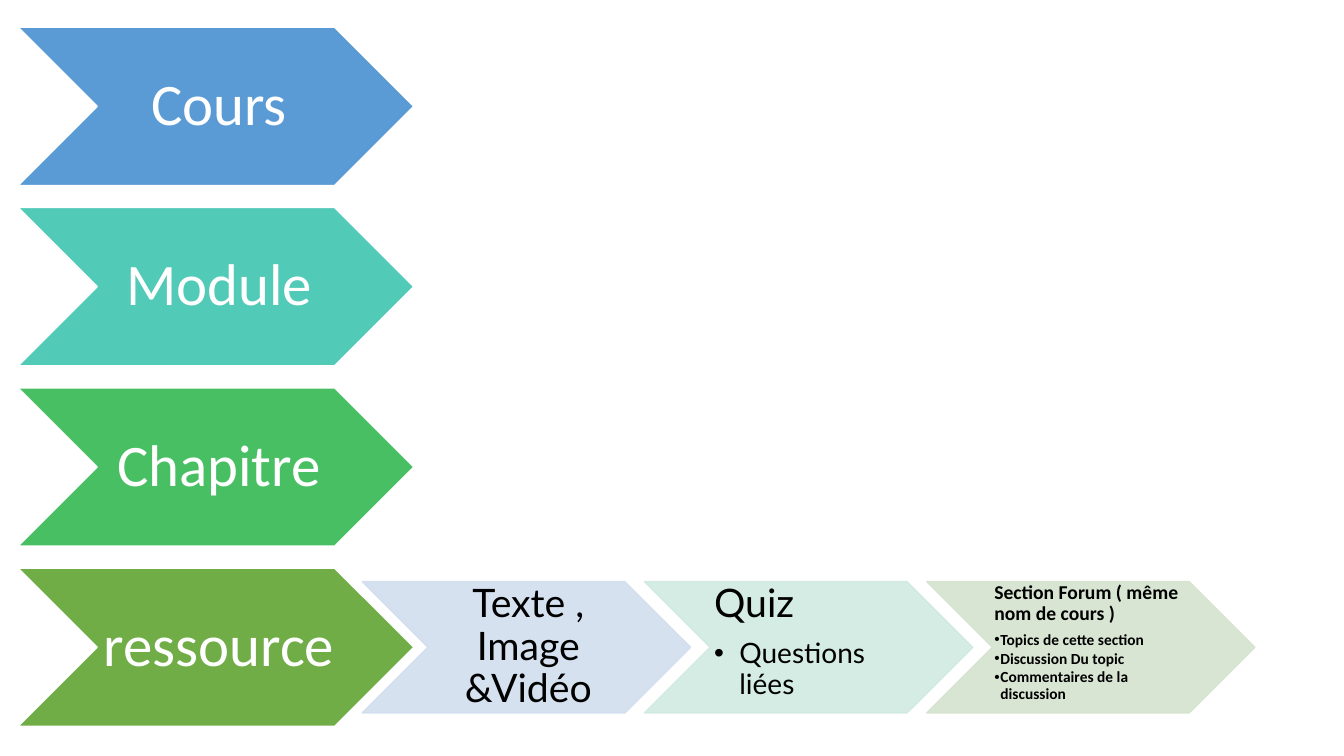
from lxml.etree import SubElement
from pptx import Presentation
from pptx.dml.color import RGBColor
from pptx.enum.shapes import MSO_SHAPE
from pptx.enum.text import MSO_ANCHOR, PP_ALIGN
from pptx.oxml.ns import qn
from pptx.util import Inches, Pt


def rgb(value):
    return RGBColor.from_string(value)


class Deck:
    ratio = 2.5
    line_spacing = 0.9

    def __init__(self, prs):
        self.prs = prs
        self.slide = prs.slides.add_slide(prs.slide_layouts[6])

    def x(self, percent):
        return round(self.prs.slide_width * percent / 100)

    def y(self, percent):
        return round(self.prs.slide_height * percent / 100)

    def chevron(self, left, middle, height, color, inset, anchor, opacity=100):
        h = self.y(height)
        sp = self.slide.shapes.add_shape(
            MSO_SHAPE.CHEVRON, self.x(left), self.y(middle) - h // 2,
            round(h * self.ratio), h)
        sp.shadow.inherit = False
        sp.fill.solid()
        sp.line.width = Pt(1)
        sp.fill.fore_color.rgb = rgb(color)
        sp.line.color.rgb = rgb(color if opacity < 100 else "FFFFFF")
        if opacity < 100:
            for clr in sp._element.spPr.iter(qn("a:srgbClr")):
                SubElement(clr, qn("a:alpha"), val=str(opacity * 1000))
        tf = sp.text_frame
        tf.word_wrap = True
        tf.vertical_anchor = anchor
        tf.margin_left, tf.margin_right = Inches(inset), 0
        tf.margin_top = tf.margin_bottom = Inches(inset / 2)
        return tf

    def paragraph(self, tf, text, size, font, color, align=PP_ALIGN.LEFT,
                  bold=False, hang=0):
        p = tf.paragraphs[0] if not tf.paragraphs[0].runs else tf.add_paragraph()
        p.alignment = align
        p.line_spacing = self.line_spacing
        p.space_after = Pt(round(size * (0.15 if hang else 0.35), 1))
        if hang:
            p.level = 1
            pPr = p._p.get_or_add_pPr()
            pPr.set("marL", str(Inches(hang)))
            pPr.set("indent", str(-Inches(hang)))
            SubElement(pPr, qn("a:buFont"), typeface="Arial")
            SubElement(pPr, qn("a:buChar"), char="•")
        r = p.add_run()
        r.text = text
        r.font.size = Pt(size)
        r.font.name = font
        r.font.bold = bold
        r.font.color.rgb = rgb(color)


prs = Presentation()
prs.slide_width, prs.slide_height = Inches(13.33), Inches(7.5)
deck = Deck(prs)

FIRST_MIDDLE, ROW_STEP = 14.07, 23.85
LEVELS = [("Cours", "5B9BD5"), ("Module", "52CAB8"),
          ("Chapitre", "49BF64"), ("ressource", "70AD47")]
for row, (name, color) in enumerate(LEVELS):
    middle = FIRST_MIDDLE + row * ROW_STEP
    tf = deck.chevron(1.35, middle, 20.93, color, 0.06, MSO_ANCHOR.MIDDLE)
    deck.paragraph(tf, name, 42, "Calibri", "FFFFFF", PP_ALIGN.CENTER)

RESOURCES = [
    ("D2DEEF", "Texte , Image &Vidéo", [], 28, 20, "Lato", False, 0.04, 0.25),
    ("D0EAE1", "Quiz", ["Questions liées"], 28, 20, "Lato", False, 0.04, 0.25),
    ("D5E3CF", "Section Forum ( même nom de cours )",
     ["Topics de cette section", "Discussion Du topic",
      "Commentaires de la discussion"], 14, 11, "Calibri", True, 0.02, 0.06),
]
for col, (color, title, items, size, item_size, font, bold, inset, hang) in enumerate(RESOURCES):
    anchor, align = ((MSO_ANCHOR.TOP, PP_ALIGN.LEFT) if items
                     else (MSO_ANCHOR.MIDDLE, PP_ALIGN.CENTER))
    tf = deck.chevron(26.95 + col * 21, middle, 17.37, color, inset, anchor, 90)
    deck.paragraph(tf, title, size, font, "000000", align, bold)
    for item in items:
        deck.paragraph(tf, item, item_size, font, "000000", bold=bold, hang=hang)

prs.save("out.pptx")
